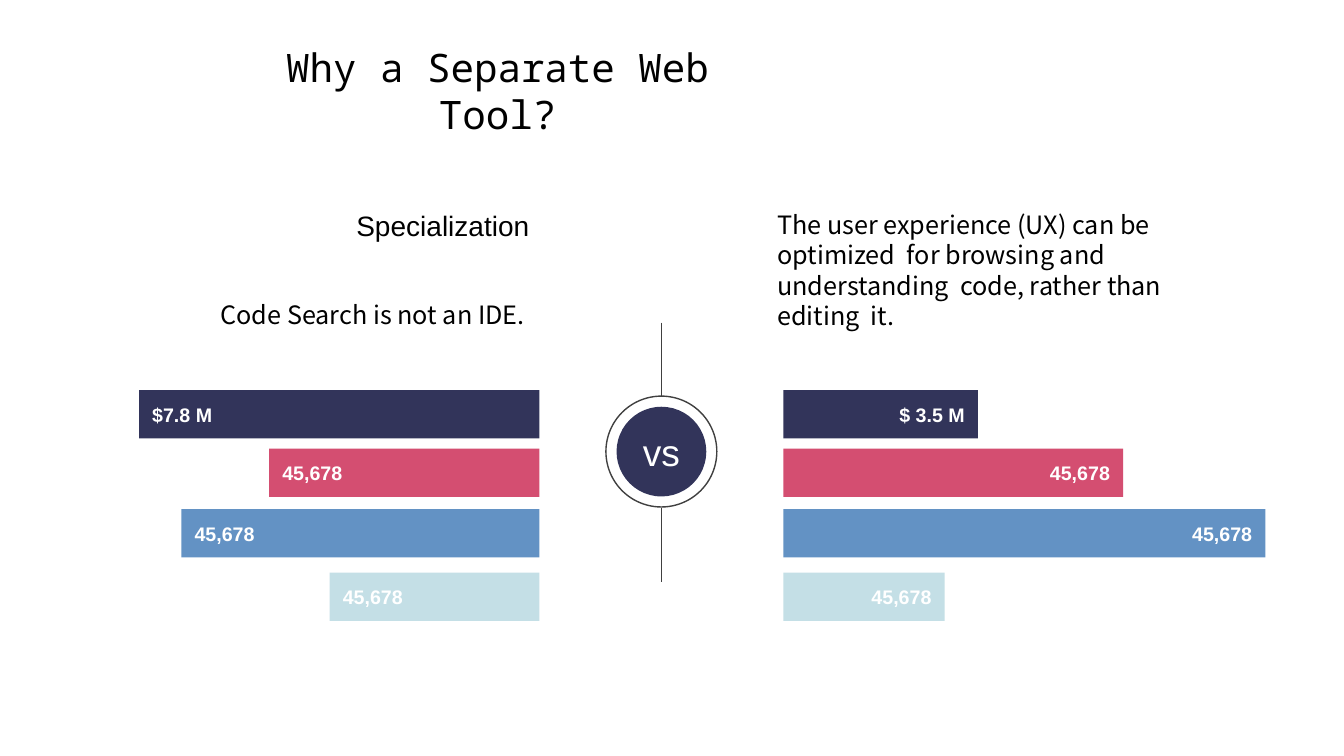
"""Build the "Why a Separate Web Tool?" comparison slide."""
import pptx
import pptx.dml.color
import pptx.enum.shapes
import pptx.enum.text
import pptx.oxml
import pptx.oxml.ns
import pptx.util

Inches = pptx.util.Inches
Pt = pptx.util.Pt
RGBColor = pptx.dml.color.RGBColor
Shape = pptx.enum.shapes.MSO_SHAPE
Align = pptx.enum.text.PP_ALIGN
Anchor = pptx.enum.text.MSO_ANCHOR

NAVY = RGBColor(0x32, 0x34, 0x5A)
ROSE = RGBColor(0xD4, 0x4E, 0x71)
BLUE = RGBColor(0x63, 0x92, 0xC4)
PALE = RGBColor(0xC4, 0xDF, 0xE6)
GREY = RGBColor(0x40, 0x40, 0x40)
BLACK = RGBColor(0, 0, 0)
WHITE = RGBColor(0xFF, 0xFF, 0xFF)
SANS = "Arial"
BODY = "Noto Sans CJK SC"
MONO = "Noto Sans Mono"

LEFT_EDGE, RIGHT_EDGE = 5.35, 7.77
BAR_HEIGHT = 0.48
CENTER = 6.56
ROWS = [
    (3.87, NAVY, 3.97, "$7.8 M", 1.93, "$ 3.5 M"),
    (4.45, ROSE, 2.68, "45,678", 3.37, "45,678"),
    (5.05, BLUE, 3.55, "45,678", 4.78, "45,678"),
    (5.68, PALE, 2.08, "45,678", 1.6, "45,678"),
]


def write(holder, text, size=18, font=SANS, color=BLACK, bold=False,
          align=Align.LEFT, anchor=Anchor.TOP, inset=(0.1, 0.05), spacing=None):
    frame = holder.text_frame
    frame.word_wrap = True
    frame.auto_size = pptx.enum.text.MSO_AUTO_SIZE.NONE
    frame.vertical_anchor = anchor
    frame.margin_left = frame.margin_right = Inches(inset[0])
    frame.margin_top = frame.margin_bottom = Inches(inset[1])
    paragraph = frame.paragraphs[0]
    paragraph.alignment = align
    paragraph.space_before = Pt(0)
    paragraph.line_spacing = spacing
    run = paragraph.add_run()
    run.text = text
    run.font.size = Pt(size)
    run.font.name = font
    run.font.bold = bold
    run.font.color.rgb = color
    for tag in ("a:ea", "a:cs"):
        script_font = pptx.oxml.parse_xml(
            f'<{tag} {pptx.oxml.ns.nsdecls("a")} typeface="{font}"/>')
        run.font._element.append(script_font)


class ComparisonSlide:
    """Hold the line style and the slide being drawn."""

    def __init__(self, deck, line_color=GREY, line_width=1):
        self.slide = deck.slides.add_slide(deck.slide_layouts[5])
        self.shapes = self.slide.shapes
        self.line_color = line_color
        self.line_width = Pt(line_width)

    def title(self, text, left, top, width, height, **style):
        heading = self.shapes.title
        heading.left, heading.top = Inches(left), Inches(top)
        heading.width, heading.height = Inches(width), Inches(height)
        write(heading, text, **style)

    def label(self, text, left, top, width, height, **style):
        box = self.shapes.add_textbox(
            Inches(left), Inches(top), Inches(width), Inches(height))
        write(box, text, **style)

    def block(self, kind, left, top, width, height, fill=None):
        block = self.shapes.add_shape(
            kind, Inches(left), Inches(top), Inches(width), Inches(height))
        block.shadow.inherit = False
        if fill is None:
            block.fill.background()
            block.line.color.rgb = self.line_color
            block.line.width = self.line_width
        else:
            block.fill.solid()
            block.fill.fore_color.rgb = fill
            block.line.fill.background()
        return block

    def bar(self, text, left, top, width, fill, align):
        bar = self.block(Shape.RECTANGLE, left, top, width, BAR_HEIGHT, fill)
        write(bar, text, size=14, color=WHITE, bold=True, align=align,
              anchor=Anchor.MIDDLE, inset=(0.13, 0.07))

    def disc(self, middle, diameter, fill=None):
        return self.block(Shape.OVAL, CENTER - diameter / 2, middle - diameter / 2,
                          diameter, diameter, fill)

    def upright(self, x, top, bottom):
        stem = self.shapes.add_connector(
            pptx.enum.shapes.MSO_CONNECTOR.STRAIGHT,
            Inches(x), Inches(top), Inches(x), Inches(bottom))
        stem.line.color.rgb = self.line_color
        stem.line.width = self.line_width
        stem._element.spPr.append(pptx.oxml.parse_xml(
            f'<a:effectLst {pptx.oxml.ns.nsdecls("a")}/>'))


def main():
    deck = pptx.Presentation()
    deck.slide_width, deck.slide_height = Inches(13.33), Inches(7.5)
    page = ComparisonSlide(deck)

    page.title("Why a Separate Web Tool?", 2.47, 0.4, 4.93, 1, size=28, font=MONO,
               align=Align.CENTER, inset=(0.05, 0.03), spacing=Pt(33.6))

    for top, color, left_width, left_value, right_width, right_value in ROWS:
        page.bar(left_value, LEFT_EDGE - left_width, top, left_width, color, Align.LEFT)
        page.bar(right_value, RIGHT_EDGE, top, right_width, color, Align.RIGHT)

    versus = page.disc(4.48, 0.89, NAVY)
    write(versus, "vs", size=26.5, color=WHITE, align=Align.CENTER,
          anchor=Anchor.MIDDLE, inset=(0.05, 0.02))
    page.disc(4.48, 1.1)
    for top, bottom in ((3.2, 3.93), (5.04, 5.77)):
        page.upright(CENTER, top, bottom)

    page.label("Specialization", 2.75, 2.02, 2.6, 0.44, size=20, align=Align.RIGHT)
    page.label("Code Search is not an IDE. ", 1.4, 2.92, 3.96, 0.4,
               font=BODY, align=Align.RIGHT, spacing=Pt(21.8))
    page.label("The user experience (UX) can be optimized  for browsing and "
               "understanding  code, rather than  editing  it.",
               7.61, 2.02, 4.19, 1.31, font=BODY, spacing=Pt(21.8))

    deck.save("out.pptx")


if __name__ == "__main__":
    main()
